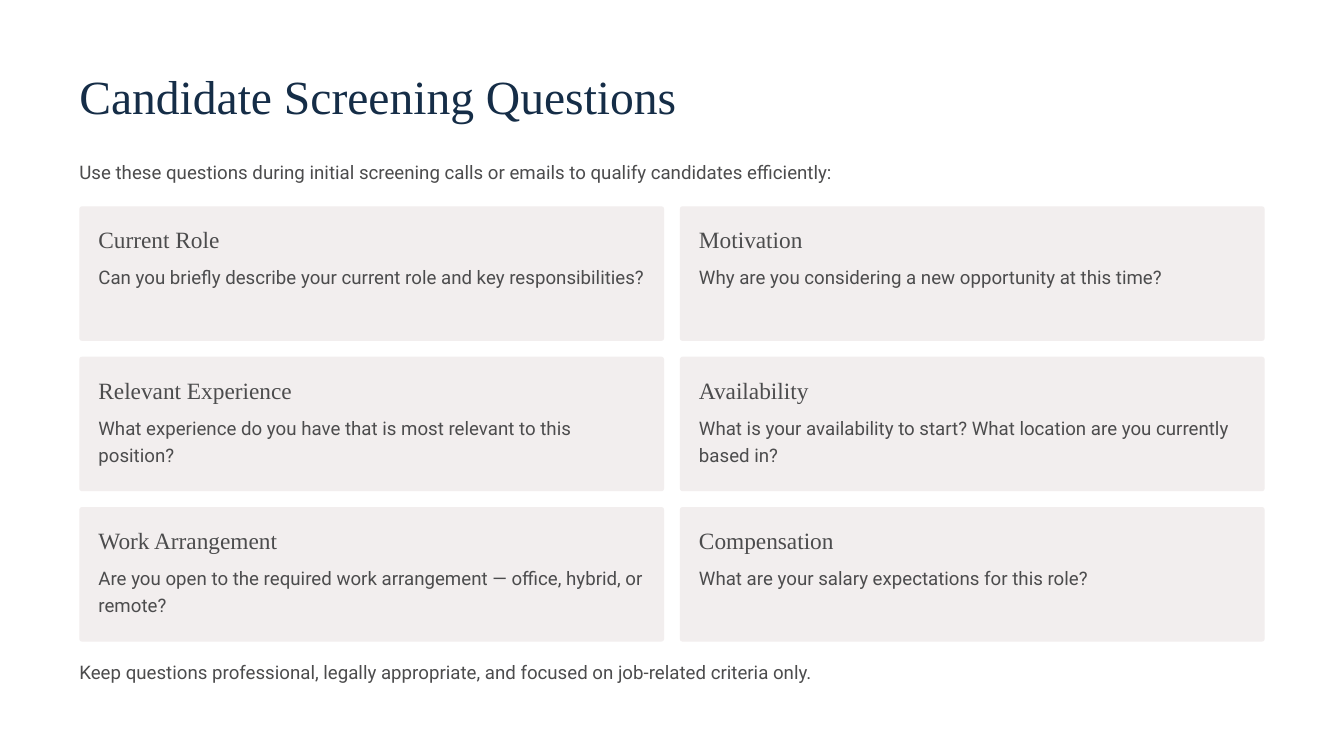
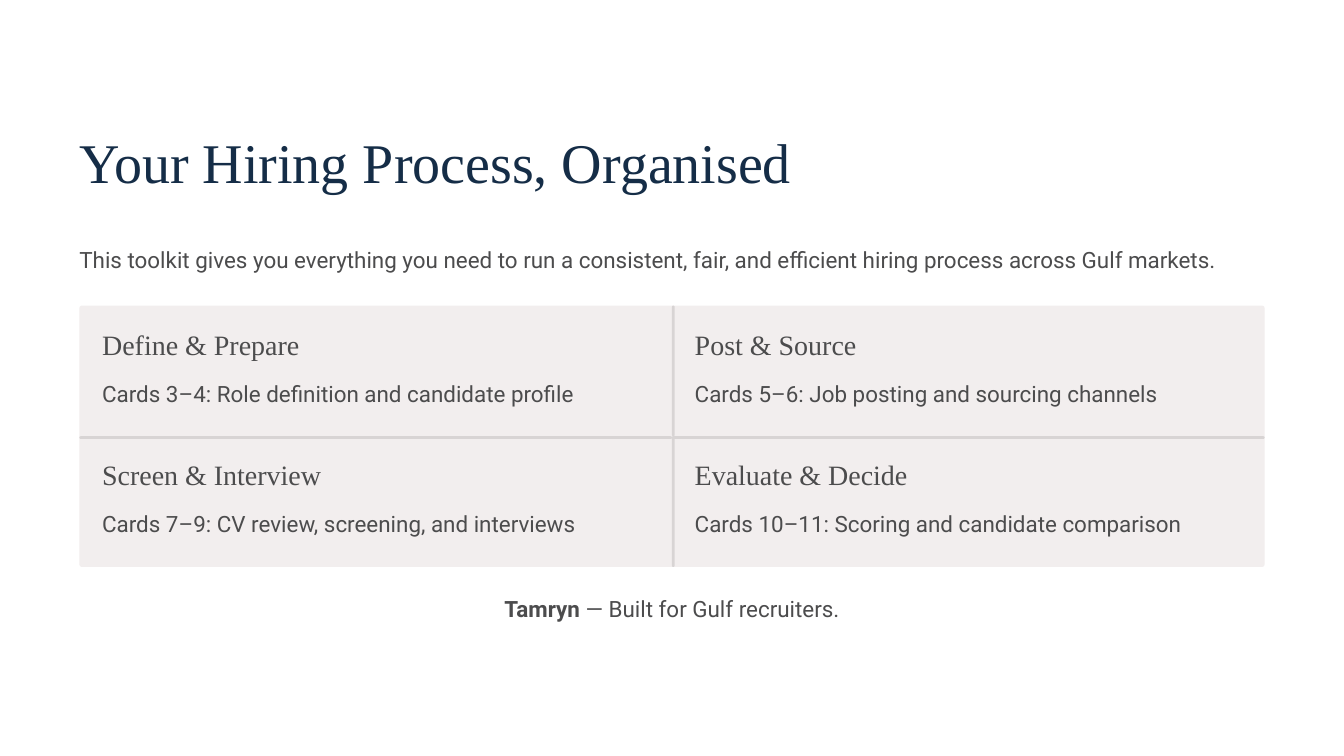
from collections import namedtuple

from pptx import Presentation
from pptx.dml.color import RGBColor
from pptx.enum.shapes import MSO_SHAPE
from pptx.enum.text import PP_ALIGN
from pptx.util import Cm, Pt

ROUNDED = MSO_SHAPE.ROUNDED_RECTANGLE
LEFT, CENTER = PP_ALIGN.LEFT, PP_ALIGN.CENTER

# Shared look: lengths in centimetres, type in points
NAVY, GREY, PANEL, RULE, WHITE = "152D47", "4C4C4D", "F2EEEE", "D8D4D4", "FFFFFF"
SERIF, SANS = "Times New Roman", "Roboto"
SLIDE_WIDTH = 50.8
MARGIN = 3
CONTENT_WIDTH = SLIDE_WIDTH - 2 * MARGIN
LINE_WIDTH = 47.35
CORNER = 0.1

Style = namedtuple("Style", "font size color spacing")
Box = namedtuple("Box", "left top width height")

TITLE = Style(SERIF, 51, NAVY, 63.6)
CARD_HEADING = Style(SERIF, 25, GREY, 31.2)
CARD_BODY = Style(SANS, 20, GREY, 29.5)
CLOSING_TITLE = Style(SERIF, 60, NAVY, 74.9)
STAGE_HEADING = Style(SERIF, 30, GREY, 37.4)
STAGE_BODY = Style(SANS, 24, GREY, 38.3)

QUESTIONS = [
    ("Current Role", "Can you briefly describe your current role and key responsibilities?"),
    ("Motivation", "Why are you considering a new opportunity at this time?"),
    ("Relevant Experience", "What experience do you have that is most relevant to this position?"),
    ("Availability", "What is your availability to start? What location are you currently based in?"),
    ("Work Arrangement", "Are you open to the required work arrangement — office, hybrid, or remote?"),
    ("Compensation", "What are your salary expectations for this role?"),
]
STAGES = [
    ("Define & Prepare", "Cards 3–4: Role definition and candidate profile"),
    ("Post & Source", "Cards 5–6: Job posting and sourcing channels"),
    ("Screen & Interview", "Cards 7–9: CV review, screening, and interviews"),
    ("Evaluate & Decide", "Cards 10–11: Scoring and candidate comparison"),
]


def rgb(value):
    return RGBColor.from_string(value)


def add_slide(presentation):
    slide = presentation.slides.add_slide(presentation.slide_layouts[6])
    slide.background.fill.solid()
    slide.background.fill.fore_color.rgb = rgb(WHITE)
    return slide


def add_text(slide, box, text, style, align=LEFT, bold_lead=""):
    text_frame = slide.shapes.add_textbox(*map(Cm, box)).text_frame
    text_frame.word_wrap = True
    text_frame.margin_left = text_frame.margin_right = 0
    text_frame.margin_top = text_frame.margin_bottom = 0
    paragraph = text_frame.paragraphs[0]
    paragraph.alignment = align
    paragraph.line_spacing = Pt(style.spacing)
    if bold_lead:
        paragraph.add_run().text = bold_lead
        paragraph.runs[0].font.bold = True
    paragraph.add_run().text = text
    for run in paragraph.runs:
        run.font.name = style.font
        run.font.size = Pt(style.size)
        run.font.color.rgb = rgb(style.color)


def add_rounded(slide, box, color, radius=CORNER):
    shape = slide.shapes.add_shape(ROUNDED, *map(Cm, box))
    shape.adjustments[0] = radius / min(box.width, box.height)
    shape.shadow.inherit = False
    shape.fill.solid()
    shape.fill.fore_color.rgb = rgb(color)
    shape.line.fill.background()


def grid(box, columns, rows, gap=0):
    """Yield column, row and box of each cell, row by row."""
    width = (box.width - gap * (columns - 1)) / columns
    height = (box.height - gap * (rows - 1)) / rows
    for row in range(rows):
        for column in range(columns):
            yield column, row, Box(box.left + column * (width + gap),
                                   box.top + row * (height + gap), width, height)


def add_question_card(slide, box, heading, question):
    add_rounded(slide, box, PANEL)
    left, width = box.left + 0.72, box.width - 1.44
    add_text(slide, Box(left, box.top + 0.68, width, 1.2), heading, CARD_HEADING)
    add_text(slide, Box(left, box.top + 2.06, width, 2.29), question, CARD_BODY)


def add_stage_cell(slide, box, column, row, heading, cards):
    # Dividers run only along inner edges
    thickness = 0.1
    if column:
        add_rounded(slide, box._replace(width=thickness), RULE, thickness / 2)
    if row:
        add_rounded(slide, box._replace(height=thickness), RULE, thickness / 2)
    left, width = box.left + 0.86, box.width - 1.72
    add_text(slide, Box(left, box.top + 0.77, width, 1.42), heading, STAGE_HEADING)
    add_text(slide, Box(left, box.top + 2.47, width, 1.6), cards, STAGE_BODY)


def build_questions_slide(presentation):
    slide = add_slide(presentation)
    add_text(slide, Box(MARGIN, 2.46, CONTENT_WIDTH, 2.36), "Candidate Screening Questions", TITLE)
    add_text(slide, Box(MARGIN, 5.89, LINE_WIDTH, 1.22),
             "Use these questions during initial screening calls or emails "
             "to qualify candidates efficiently:", CARD_BODY)
    cards = Box(MARGIN, 7.8, CONTENT_WIDTH, 16.45)
    for (_, _, box), question in zip(grid(cards, 2, 3, gap=0.6), QUESTIONS):
        add_question_card(slide, box, *question)
    add_text(slide, Box(MARGIN, 24.79, LINE_WIDTH, 1.22),
             "Keep questions professional, legally appropriate, "
             "and focused on job-related criteria only.", CARD_BODY)


def build_closing_slide(presentation):
    slide = add_slide(presentation)
    add_text(slide, Box(MARGIN, 4.7, CONTENT_WIDTH, 2.8),
             "Your Hiring Process, Organised", CLOSING_TITLE)
    add_text(slide, Box(MARGIN, 8.97, LINE_WIDTH, 1.6),
             "This toolkit gives you everything you need to run a consistent, fair, "
             "and efficient hiring process across Gulf markets.", STAGE_BODY)
    # Four stages on one panel
    panel = Box(MARGIN, 11.55, CONTENT_WIDTH, 9.88)
    add_rounded(slide, panel, PANEL)
    for (column, row, box), stage in zip(grid(panel, 2, 2), STAGES):
        add_stage_cell(slide, box, column, row, *stage)
    # Sign-off centred on the slide
    add_text(slide, Box((SLIDE_WIDTH - LINE_WIDTH) / 2, 22.15, LINE_WIDTH, 1.6),
             " — Built for Gulf recruiters.", STAGE_BODY, CENTER, bold_lead="Tamryn")


def main():
    presentation = Presentation()
    presentation.slide_width = Cm(SLIDE_WIDTH)
    presentation.slide_height = Cm(SLIDE_WIDTH) * 9 // 16
    build_questions_slide(presentation)
    build_closing_slide(presentation)
    presentation.save("out.pptx")


if __name__ == "__main__":
    main()
